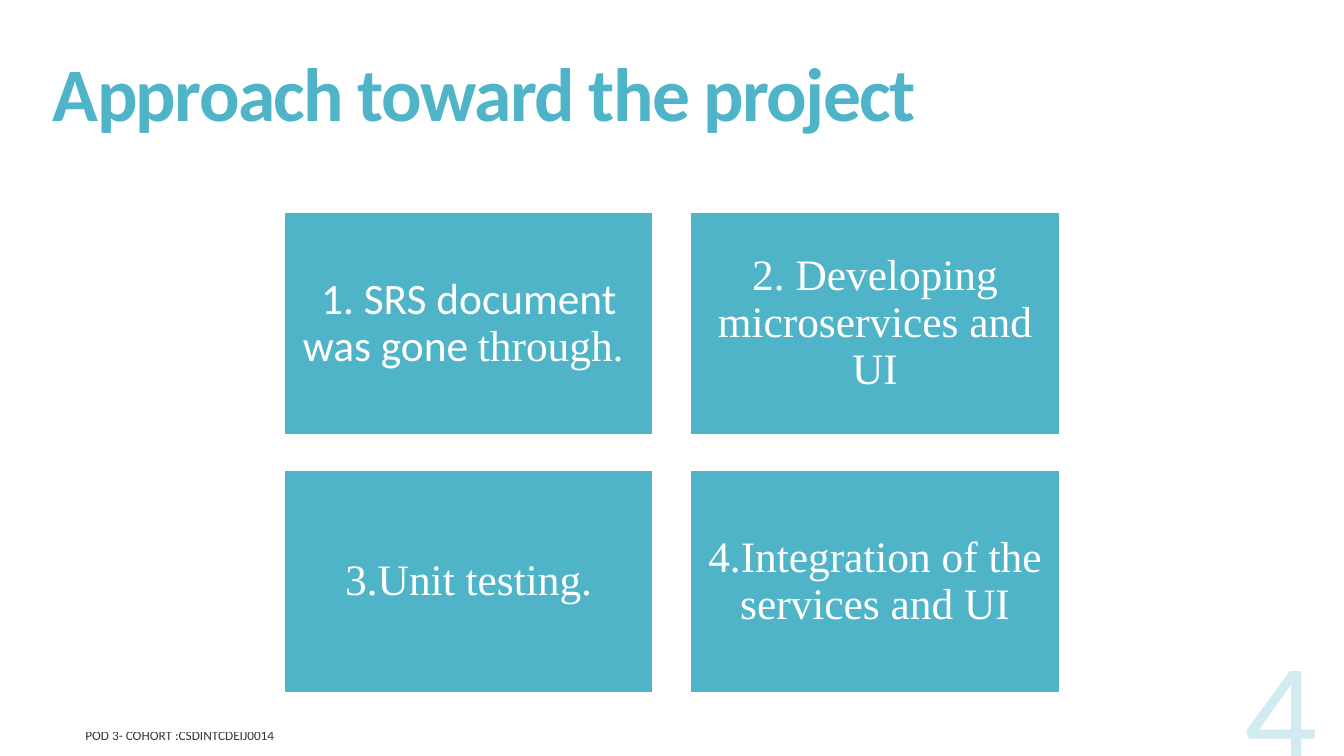
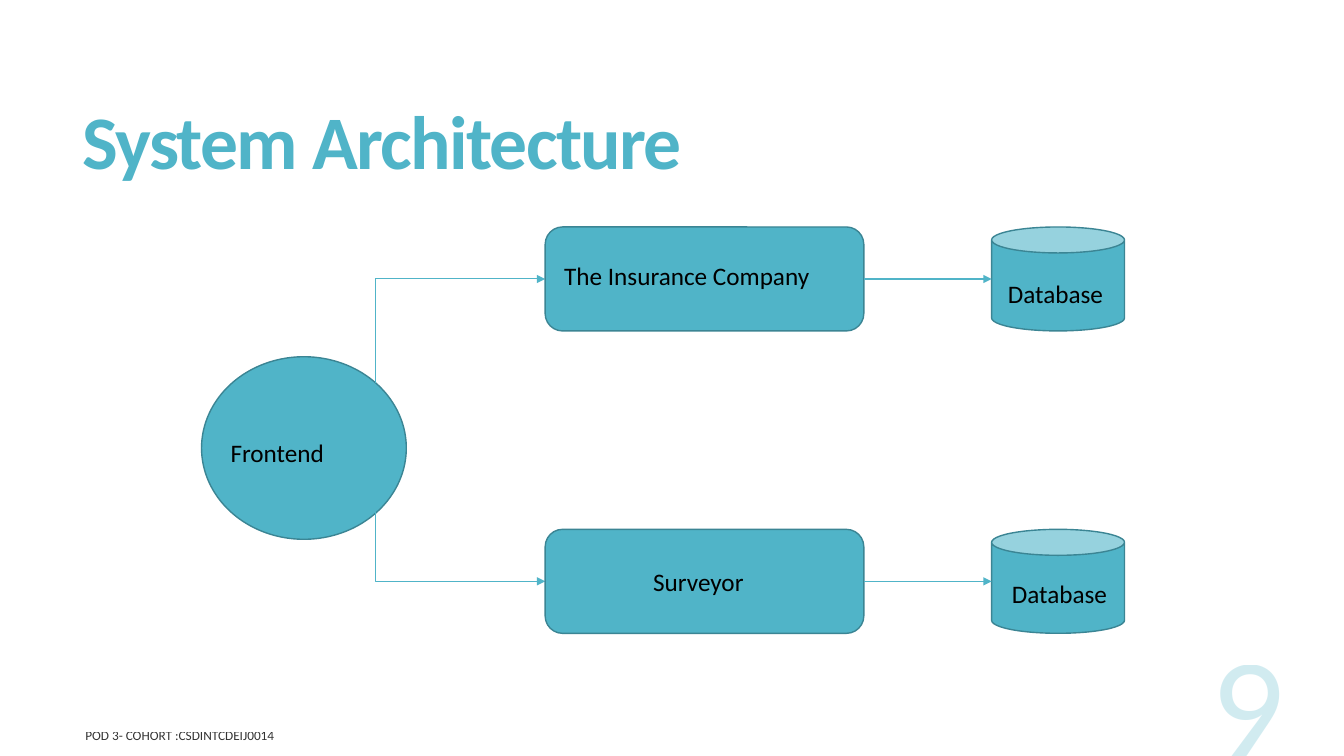
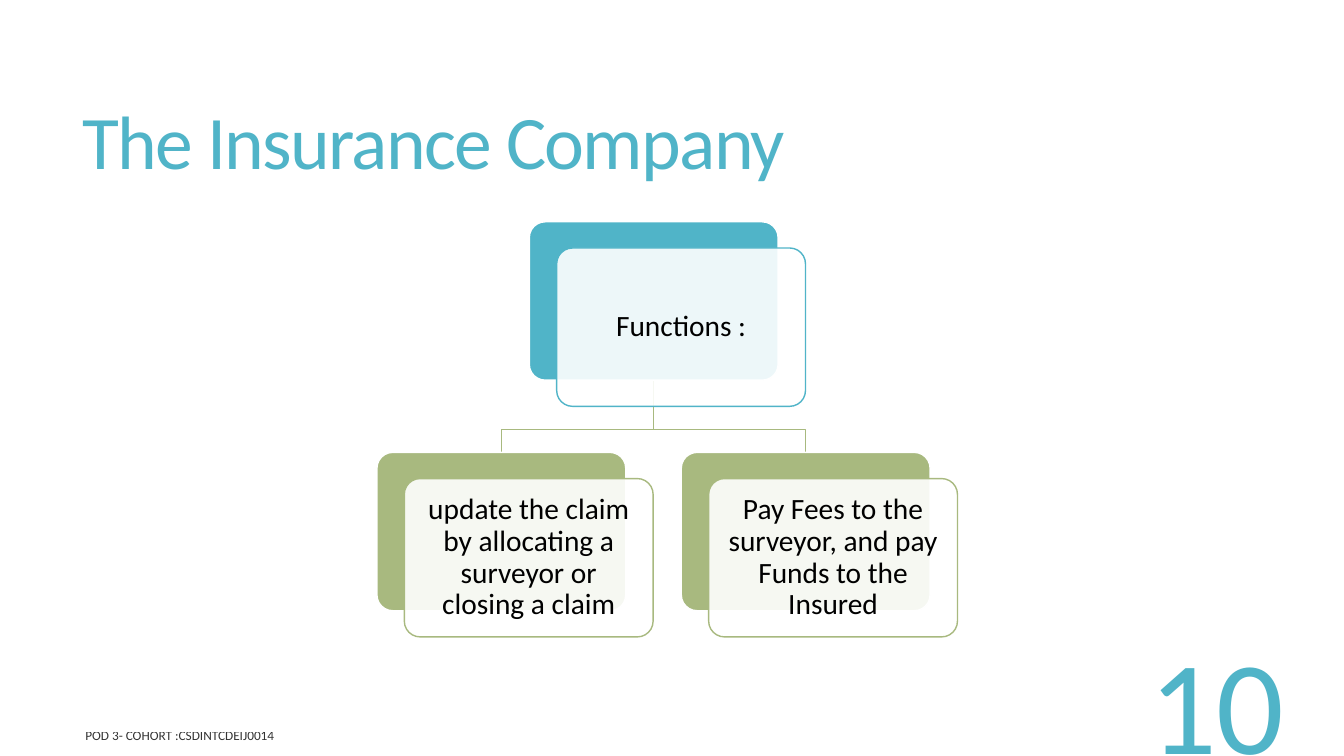
"""Build three project slides: approach, system architecture and company functions."""
import pptx
import pptx.util
import pptx.dml.color
import pptx.enum.shapes
import pptx.enum.text
import pptx.oxml
import pptx.oxml.ns
import lxml.etree

Cm, Pt = pptx.util.Cm, pptx.util.Pt
qn = pptx.oxml.ns.qn
SHAPE = pptx.enum.shapes.MSO_SHAPE
ALIGN = pptx.enum.text.PP_ALIGN
ANCHOR = pptx.enum.text.MSO_ANCHOR

COLORS = {
    "accent": "50B4C8",
    "edge": "3B8594",
    "leaf": "A8B97F",
    "white": "FFFFFF",
    "black": "000000",
}
BODY_FONT = "Calibri"
STEP_FONT = "Times New Roman"
FOOTER = "POD 3- COHORT :CSDINTCDEIJ0014"


class Deck:
    """Shared style and the slide being filled."""

    def __init__(self):
        self.presentation = pptx.Presentation()
        self.presentation.slide_width = Cm(33.87)
        self.presentation.slide_height = Cm(19.05)
        self.slide = None

    def paint(self, fill, color, opacity=100):
        fill.solid()
        fill.fore_color.rgb = pptx.dml.color.RGBColor.from_string(COLORS[color])
        if opacity < 100:
            hue = fill._xPr.find(".//" + qn("a:srgbClr"))
            lxml.etree.SubElement(hue, qn("a:alpha"), val=str(opacity * 1000))

    def outline(self, line, color, width=1):
        self.paint(line.fill, color)
        line.width = Pt(width)

    def set_text(self, frame, text, size, color="black", font=BODY_FONT, align=ALIGN.LEFT,
                 anchor=ANCHOR.MIDDLE, spacing=1.0, opacity=100):
        frame.word_wrap = True
        frame.auto_size = pptx.enum.text.MSO_AUTO_SIZE.NONE
        frame.vertical_anchor = anchor
        paragraph = frame.paragraphs[0]
        paragraph.add_run().text = text
        paragraph.alignment = align
        paragraph.line_spacing = spacing
        paragraph.font.size = Pt(size)
        paragraph.font.name = font
        self.paint(paragraph.font.fill, color, opacity)
        return paragraph

    def label(self, text, left, top, width, height, size, **style):
        box = self.slide.shapes.add_textbox(Cm(left), Cm(top), Cm(width), Cm(height))
        return self.set_text(box.text_frame, text, size, **style)

    def start(self, title, number, box=(1.83, 1.4, 29.92, 4.6), align=ALIGN.LEFT, bold=True,
              number_at=(24.49, 15.72), number_size=103, number_opacity=25):
        self.slide = self.presentation.slides.add_slide(self.presentation.slide_layouts[5])
        heading = self.slide.shapes.title
        heading.left, heading.top, heading.width, heading.height = map(Cm, box)
        paragraph = self.set_text(heading.text_frame, title, 54, "accent", align=align,
                                  spacing=0.85)
        paragraph.font.bold = bold
        paragraph.font._rPr.set("spc", "-120")
        self.label(FOOTER, 1.9, 18.21, 13.97, 0.64, 9.5, opacity=80)
        self.label(number, *number_at, 8.13, 3.89, number_size, color="accent",
                   align=ALIGN.RIGHT, opacity=number_opacity)

    def shape(self, kind, left, top, width, height, fill="accent", line="edge", opacity=100):
        block = self.slide.shapes.add_shape(kind, Cm(left), Cm(top), Cm(width), Cm(height))
        block.shadow.inherit = False
        self.paint(block.fill, fill, opacity)
        self.outline(block.line, line)
        return block

    def fill_text(self, block, text, size, margin, **style):
        frame = block.text_frame
        frame.margin_left = frame.margin_right = Cm(margin)
        frame.margin_top = frame.margin_bottom = Cm(margin)
        return self.set_text(frame, text, size, align=ALIGN.CENTER, spacing=0.9, **style)

    def arrow(self, target, source, bent=False):
        kind = pptx.enum.shapes.MSO_CONNECTOR
        link = self.slide.shapes.add_connector(
            kind.ELBOW if bent else kind.STRAIGHT, *map(Cm, target + source))
        self.outline(link.line, "accent", 0.75)
        properties = link._element.spPr
        if bent:
            properties.find(qn("a:prstGeom")).set("prst", "bentConnector2")
        lxml.etree.SubElement(properties.find(qn("a:ln")), qn("a:headEnd"), type="triangle")
        lxml.etree.SubElement(properties, qn("a:effectLst"))

    def branch(self, points, color):
        start, *rest = [tuple(map(Cm, point)) for point in points]
        builder = self.slide.shapes.build_freeform(*start)
        builder.add_line_segments(rest, close=False)
        path_line = builder.convert_to_shape()
        path_line.shadow.inherit = False
        path_line.fill.background()
        self.outline(path_line.line, color)

    def card(self, text, left, top, width, height, color):
        back = self.shape(SHAPE.ROUNDED_RECTANGLE, left, top, width, height, color, "white")
        front = self.shape(SHAPE.ROUNDED_RECTANGLE, left + 0.69, top + 0.66, width, height,
                           "white", color, opacity=90)
        back.adjustments[0] = front.adjustments[0] = 0.1
        self.fill_text(front, text, 21, 0.24)


def approach(deck):
    deck.start("Approach toward the project", "4", box=(-2.39, 0.91, 29.21, 3.15),
               align=ALIGN.CENTER, number_at=(25.32, 15.85))
    steps = [
        ("1. SRS document was gone ", BODY_FONT, "through. "),
        ("2. Developing microservices and UI", STEP_FONT, ""),
        ("3.Unit testing.", STEP_FONT, ""),
        ("4.Integration of the services and UI", STEP_FONT, ""),
    ]
    for index, (step, font, ending) in enumerate(steps):
        row, column = divmod(index, 2)
        tile = deck.shape(SHAPE.RECTANGLE, 7.16 + column * 10.24, 5.36 + row * 6.5,
                          9.3, 5.59, line="white")
        paragraph = deck.fill_text(tile, step, 31, 0.33, color="white", font=font)
        if ending:
            closing = paragraph.add_run()
            closing.text = ending
            closing.font.name = STEP_FONT


def architecture(deck):
    deck.start("System Architecture", "9")
    deck.shape(SHAPE.OVAL, 5.08, 8.99, 5.16, 4.6)
    for top, frontend_exit in ((5.72, 9.65), (13.34, 12.9)):
        axis = top + 1.31
        deck.arrow((13.74, axis), (9.47, frontend_exit), bent=True)
        deck.shape(SHAPE.ROUNDED_RECTANGLE, 13.74, top, 8.03, 2.62)
        deck.shape(SHAPE.CAN, 24.99, top, 3.35, 2.62)
        deck.arrow((24.99, axis), (21.77, axis))
    for part, left, top, width in (
        ("Frontend", 5.56, 10.9, 3.1),
        ("The Insurance Company", 13.97, 6.43, 7.8),
        ("Surveyor", 16.21, 14.15, 3.1),
        ("Database", 25.15, 6.88, 3.1),
        ("Database", 25.25, 14.45, 3.1),
    ):
        deck.label(part, left, top, width, 1.02, 18, anchor=ANCHOR.TOP)


def company(deck):
    deck.start("The Insurance Company", "10", bold=False, number_size=95.3, number_opacity=100)
    width, height = 6.27, 3.99
    parent_left, parent_top, child_top = 13.34, 5.59, 11.4
    trunk, fork = parent_left + width / 2, 10.82
    functions = [
        ("update the claim by allocating a surveyor or closing a claim", 9.5),
        ("Pay Fees to the surveyor, and pay Funds to the Insured", 17.17),
    ]
    for _, left in functions:
        middle = left + width / 2
        deck.branch([(trunk, parent_top + height), (trunk, fork), (middle, fork),
                     (middle, child_top)], "leaf")
    deck.card("Functions :", parent_left, parent_top, width, height, "accent")
    for function, left in functions:
        deck.card(function, left, child_top, width, height, "leaf")


def main():
    deck = Deck()
    approach(deck)
    architecture(deck)
    company(deck)
    deck.presentation.save("out.pptx")


if __name__ == "__main__":
    main()
